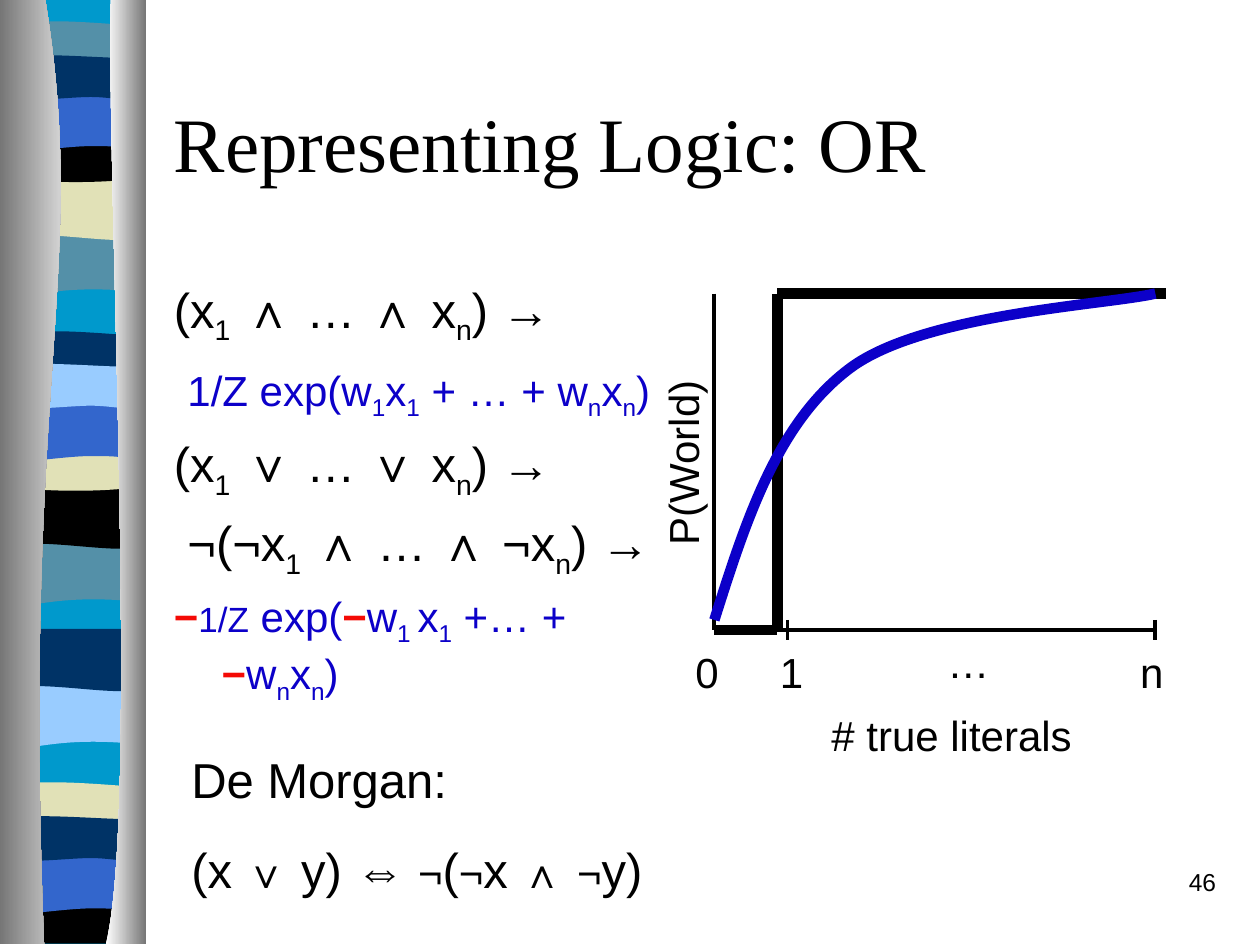
from lxml import etree
from pptx import Presentation
from pptx.dml.color import RGBColor
from pptx.enum.shapes import MSO_CONNECTOR
from pptx.enum.text import MSO_ANCHOR, MSO_AUTO_SIZE, PP_ALIGN
from pptx.oxml.ns import qn
from pptx.util import Inches, Pt

STRAIGHT = MSO_CONNECTOR.STRAIGHT
TOP, MIDDLE = MSO_ANCHOR.TOP, MSO_ANCHOR.MIDDLE
LEFT, RIGHT = PP_ALIGN.LEFT, PP_ALIGN.RIGHT
NO_FIT = MSO_AUTO_SIZE.NONE

BLACK = RGBColor(0, 0, 0)
WHITE = RGBColor(255, 255, 255)
GRAY = RGBColor(0x76, 0x76, 0x76)
BLUE = RGBColor(0x0C, 0x00, 0xC9)
RED = RGBColor(0xF4, 0x0A, 0x05)
CYAN = RGBColor(0x00, 0x99, 0xCC)
TEAL = RGBColor(0x54, 0x90, 0xA8)
SAND = RGBColor(0xE1, 0xE1, 0xB7)
ROYAL = RGBColor(0x33, 0x66, 0xCC)
NAVY = RGBColor(0x00, 0x33, 0x66)
SKY = RGBColor(0x99, 0xCC, 0xFF)

# Outlines run from (1.08, 0); two numbers make a line, six a Bezier curve.
SIDE, SHUT = (0, 0), (1.08, 0)
BANDS = {
    "dip": [(1.08, .47), (.33, .39, .18, .55, 0, .47), SIDE, SHUT],
    "sag": [(1.08, .47), (.9, .55, .33, .41, 0, .47), SIDE, SHUT],
    "thin": [(1.08, .24), (.9, .28, .18, .28, 0, .24), SIDE,
             (.06, -.05, .23, -.04, .41, -.04), (.59, -.04, .94, -.01, 1.08, 0)],
    "bowl": [(1.08, .32), (.9, .38, .18, .38, 0, .32), SIDE,
             (.66, .05, .85, 0, 1.08, 0)],
    "hump": [(1.08, .47), (.91, .42, .84, .42, .66, .42),
             (.48, .42, .16, .47, 0, .47), SIDE, SHUT],
    "wavy": [(1.08, .31), (1.01, .36, .84, .31, .66, .31),
             (.48, .31, .11, .36, 0, .31), SIDE,
             (.15, -.05, .73, 0, .91, 0), (1.09, 0, 1.04, 0, 1.08, 0)],
    "foot": [(1.08, .37), (0, .37), SIDE, (.66, .05, .85, 0, 1.08, 0)],
}
STRIPES = [
    ("dip", 1.85, TEAL), ("sag", 1.41, SAND), ("thin", .21, TEAL),
    ("bowl", 1.08, BLACK), ("hump", .74, ROYAL), ("wavy", .46, NAVY),
    ("dip", 4.31, TEAL), ("sag", 3.86, BLACK), ("thin", 2.67, NAVY),
    ("bowl", 3.53, SAND), ("hump", 3.2, ROYAL), ("wavy", 2.91, SKY),
    ("dip", 5.44, SKY), ("sag", 4.99, NAVY), ("thin", 6.25, SAND),
    ("foot", 7.12, BLACK), ("hump", 6.79, ROYAL), ("wavy", 6.5, NAVY),
]

# Text between underscores is set as subscript.
FORMULAS = [
    (7, [("(x_1_ ∧ … ∧ x_n_) →", 28, BLACK)]),
    (6, [(" ", 28, BLUE), ("1/Z exp(w_1_x_1_ + … + w_n_x_n_)", 24, BLUE)]),
    (7, [("(x_1_ ∨ … ∨ x_n_) →", 28, BLACK)]),
    (7, [(" ¬(¬x_1_ ∧ … ∧ ¬x_n_) →", 28, BLACK)]),
    (6, [("−", 24, RED), ("1/Z", 20, BLUE), (" exp(", 24, BLUE),
         ("−", 24, RED), ("w_1 _x_1_ +… + ", 24, BLUE),
         ("−", 24, RED), ("w_n_x_n_)", 24, BLUE)]),
]
MORGAN = [
    (17.5, [("De Morgan:", 28, BLACK)]),
    (17.5, [(text, size, BLACK) for text, size in [
        ("(x ", 28), ("∨", 24), (" y) ⇔ ", 28), ("¬", 24), ("(", 28),
        ("¬", 24), ("x ", 28), ("∧", 24), (" ", 28), ("¬", 24), ("y)", 28)]]),
]


def style(item, **form):
    for name, value in form.items():
        setattr(item, name, value)


def place(shape, x, y, w, h):
    style(shape, left=Inches(x), top=Inches(y), width=Inches(w), height=Inches(h))


def write(para, parts, font="Arial"):
    for text, size, color in parts:
        for i, piece in enumerate(text.split("_")):
            if not piece:
                continue
            run = para.add_run()
            run.text = piece
            style(run.font, name=font, size=Pt(size), bold=color == RED)
            run.font.color.rgb = color
            if i % 2:
                run.font._element.set("baseline", "-25000")


def fill_in(frame, lines, **form):
    for i, (gap, parts) in enumerate(lines):
        para = frame.add_paragraph() if i else frame.paragraphs[0]
        style(para, space_before=Pt(gap), **form)
        write(para, parts)


def label(slide, text, x, y, w, h=.5, size=24, wrap=False, **form):
    box = slide.shapes.add_textbox(Inches(x), Inches(y), Inches(w), Inches(h))
    box.text_frame.word_wrap = wrap
    lines = [(0, [(text, size, BLACK)])] if isinstance(text, str) else text
    fill_in(box.text_frame, lines, **form)
    return box


def bend(shape, steps):
    """Join the three lines of each six-number step into one Bezier curve."""
    lines = iter(list(shape._element.iter(qn("a:lnTo"))))
    for step in steps:
        first = next(lines)
        if len(step) == 6:
            first.tag = qn("a:cubicBezTo")
            for _ in range(2):
                extra = next(lines)
                first.append(extra[0])
                extra.getparent().remove(extra)


def outline(slide, x, y, start, steps, close=True):
    points = [start]
    for step in steps:
        points += zip(step[::2], step[1::2])
    spots = [(Inches(x + px), Inches(y + py)) for px, py in points]
    pen = slide.shapes.build_freeform(*spots[0])
    pen.add_line_segments(spots[1:], close=close)
    shape = pen.convert_to_shape()
    bend(shape, steps)
    shape.shadow.inherit = False
    if close:
        shape.line.fill.background()
    return shape


def paint(shape, color):
    shape.fill.solid()
    shape.fill.fore_color.rgb = color


def shade(shape, *colors):
    shape.fill.gradient()
    shape.fill.gradient_angle = 0
    for stop, color in zip(shape.fill.gradient_stops, colors):
        stop.color.rgb = color


def ribbon(slide, x, y, h):
    """Striped band between two shaded columns."""
    edge = x + .06
    paint(outline(slide, edge, y, SHUT, [(1.08, h), (0, h), SIDE, SHUT]), CYAN)
    for kind, top, color in STRIPES:
        paint(outline(slide, edge, y + top, SHUT, BANDS[kind]), color)
    near = [(.71, 2.16, .17, 2.96, .35, h), (0, h), (0, 0), (.36, 0)]
    far = [(.84, 1.25, 1.11, 6.46, .84, h), (1.16, h), (1.16, 0), (.88, 0)]
    shade(outline(slide, x, y, (.36, 0), near), GRAY, WHITE)
    shade(outline(slide, x, y, (.88, 0), far), WHITE, GRAY)


def rule(slide, x1, y1, x2, y2, width):
    line = slide.shapes.add_connector(
        STRAIGHT, Inches(x1), Inches(y1), Inches(x2), Inches(y2))
    line.line.color.rgb = BLACK
    line.line.width = Pt(width)
    etree.SubElement(line._element.spPr, qn("a:effectLst"))


def plot(slide, x, y, w, h):
    """Step of OR against the smooth curve, with axes and labels."""
    base, end, step = y + h, x + w, x + .5
    rule(slide, x, y, x, base, 2.25)
    rule(slide, x, base, end, base, 2.25)
    for tick in (x + .58, end):
        rule(slide, tick, base - .08, tick, base + .08, 2.25)
    for text, left, top, wide in [
            ("0", -.25, .08, .38), ("1", .42, .08, .38), ("n", 3.28, .08, .38),
            ("…", 1.75, 0, .53), ("# true literals", .83, .58, 2.11)]:
        label(slide, text, x + left, base + top, wide)
    label(slide, "P(World)", x - 1.01, y + 1.09, 1.51).rotation = 270
    rule(slide, x, base, step, base, 6)
    rule(slide, step, base, step, y, 6)
    rule(slide, step, y, end + .08, y, 6)
    arc = [(.25, 1.8, .5, 1.02, 1.08, .59), (1.66, .16, 3.11, .09, 3.5, 0)]
    curve = outline(slide, x, y, (0, 2.59), arc, close=False)
    curve.fill.background()
    curve.line.color.rgb = BLUE
    curve.line.width = Pt(6)


def title(shape, x, y, w, h):
    place(shape, x, y, w, h)
    style(shape.text_frame, vertical_anchor=MIDDLE, auto_size=NO_FIT)
    para = shape.text_frame.paragraphs[0]
    para.alignment = LEFT
    write(para, [("Representing Logic: OR", 44, BLACK)], "Times New Roman")


def body(shape, x, y, w, h):
    place(shape, x, y, w, h)
    style(shape.text_frame, vertical_anchor=TOP, auto_size=NO_FIT)
    fill_in(shape.text_frame, FORMULAS, alignment=LEFT)
    for para in shape.text_frame.paragraphs:
        props = para._p.get_or_add_pPr()
        props.set("marL", str(Inches(.38)))
        props.set("indent", str(-Inches(.38)))
        etree.SubElement(props, qn("a:buNone"))


def main():
    deck = Presentation()
    style(deck, slide_width=Inches(10), slide_height=Inches(7.5))
    slide = deck.slides.add_slide(deck.slide_layouts[1])
    ribbon(slide, 0, 0, 7.49)
    title(slide.shapes.title, 1.28, .5, 8.5, 1.25)
    body(slide.placeholders[1], 1.28, 2.17, 4.17, 4.5)
    label(slide, MORGAN, 1.42, 5.9, 5.83, 1.28, wrap=True)
    plot(slide, 5.67, 2.33, 3.5, 2.67)
    label(slide, "46", 7.67, 6.83, 2.08, size=14, wrap=True, alignment=RIGHT)
    deck.save("out.pptx")


if __name__ == "__main__":
    main()
